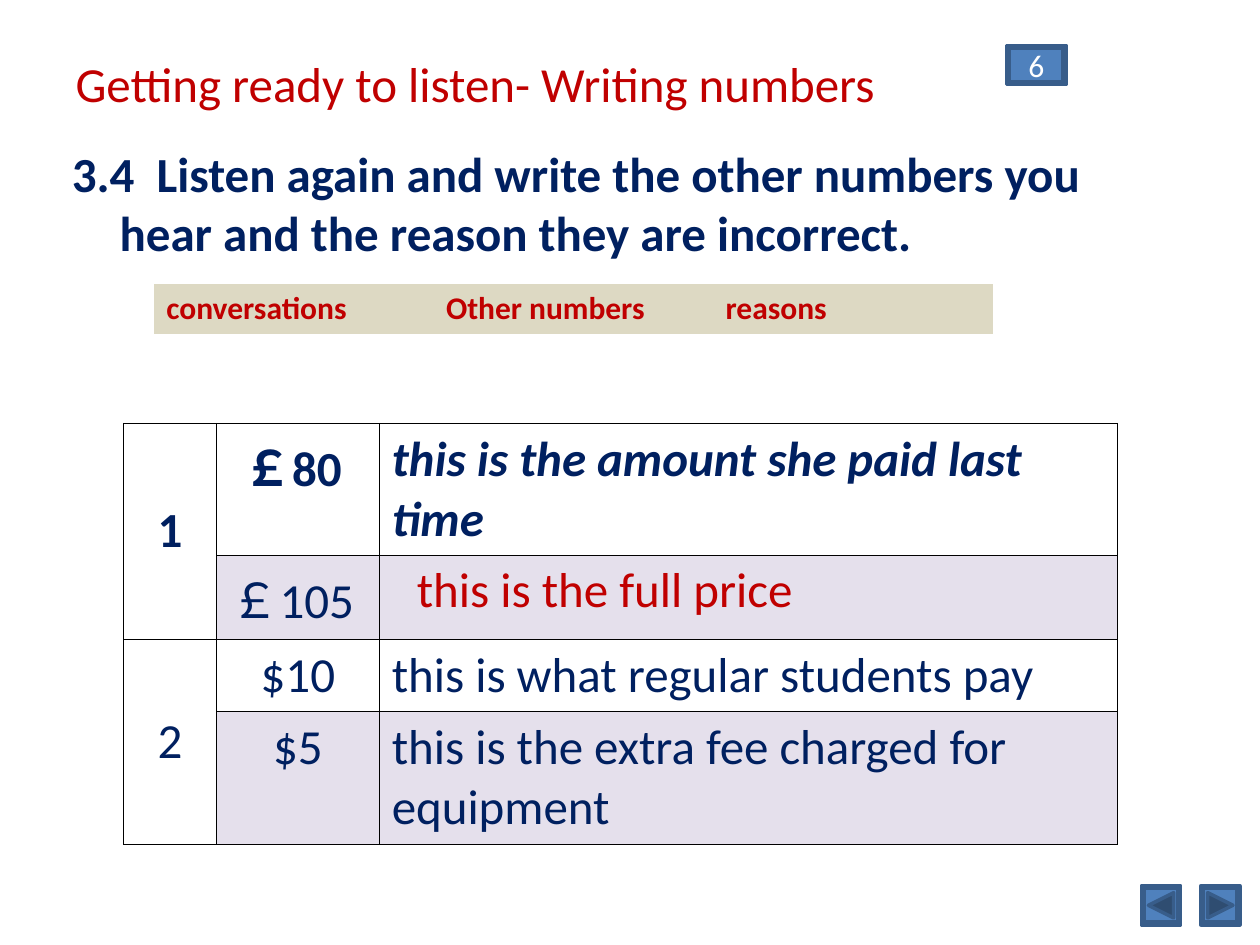
from pptx import Presentation
from pptx.dml.color import RGBColor
from pptx.enum.shapes import MSO_SHAPE as SHAPE
from pptx.enum.text import MSO_ANCHOR as ANCHOR, MSO_AUTO_SIZE as AUTO, PP_ALIGN as ALIGN
from pptx.oxml.ns import qn
from pptx.util import Inches, Pt
from lxml.etree import SubElement

COLORS = {"red": "C00000", "navy": "002060", "white": "FFFFFF", "black": "000000",
          "blue": "4F81BD", "edge": "385D8A", "arrow": "2F4D71",
          "beige": "DDD9C3", "purple": "8064A2"}

TITLE = "Getting ready to listen- Writing numbers"
TASK = "3.4  Listen again and write the other numbers you hear and the reason they are incorrect."
HEADINGS = ["conversations", "Other numbers", "reasons"]
CONVERSATIONS = [
    ("1", [("￡80 ", "this is the amount she paid last time"), ("￡105 ", "")]),
    ("2", [("$10", "this is what regular students pay"),
           ("$5", "this is the extra fee charged for equipment")]),
]
FULL_PRICE = "this is the full price"
COL_WIDTHS = [0.74, 1.29, 5.86]
ROW_HEIGHTS = [1.03, 0.57, 0.57, 1.03]
BUTTON_HEIGHT, ARROW_SIZE = 0.31, 0.2
BUTTONS = [
    (9.06, 7.03, 0.31, "", -90),
    (9.53, 7.03, 0.31, "", 90),
    (7.99, 0.36, 0.47, "6", None),
]


def rgb(name):
    return RGBColor.from_string(COLORS[name])


def write(tf, text, size=28, color="navy", bold=False, italic=False, align=ALIGN.LEFT):
    p = tf.paragraphs[0]
    p.alignment = align
    r = p.add_run()
    r.text = text
    r.font.name, r.font.size = "Calibri", Pt(size)
    r.font.bold, r.font.italic = bold, italic
    r.font.color.rgb = rgb(color)
    return p


def border(cell, sides, color, width):
    tcPr = cell._tc.get_or_add_tcPr()
    for side in "LRTB":
        ln = SubElement(tcPr, qn(f"a:ln{side}"))
        if side in sides:
            ln.set("w", str(Pt(width)))
            fill = SubElement(ln, qn("a:solidFill"))
            SubElement(fill, qn("a:srgbClr"), val=COLORS[color])
        else:
            SubElement(ln, qn("a:noFill"))


def fill_cell(cell, color, alpha=None):
    cell.fill.solid()
    cell.fill.fore_color.rgb = rgb(color)
    if alpha:
        clr = cell._tc.tcPr.find(qn("a:solidFill")).find(qn("a:srgbClr"))
        SubElement(clr, qn("a:alpha"), val=str(alpha * 1000))


def add_grid(s, left, top, widths, heights):
    table = s.shapes.add_table(len(heights), len(widths), Inches(left), Inches(top),
                               Inches(sum(widths)), Inches(sum(heights))).table
    table.first_row = table.horz_banding = False
    for col, width in zip(table.columns, widths):
        col.width = Inches(width)
    for row, height in zip(table.rows, heights):
        row.height = Inches(height)
    return table


def place(sp, left, top, width, height):
    sp.left, sp.top = Inches(left), Inches(top)
    sp.width, sp.height = Inches(width), Inches(height)
    sp.text_frame.auto_size = AUTO.NONE
    return sp.text_frame


def add_answers(s):
    table = add_grid(s, 0.98, 3.36, COL_WIDTHS, ROW_HEIGHTS)
    for i, row in enumerate(table.rows):
        for j, cell in enumerate(row.cells):
            border(cell, "LRTB", "black", 0.45)
            if j and i % 2:
                fill_cell(cell, "purple", 20)
            else:
                cell.fill.background()
    top = 0
    for number, answers in CONVERSATIONS:
        cell = table.cell(top, 0)
        cell.merge(table.cell(top + len(answers) - 1, 0))
        cell.vertical_anchor = ANCHOR.MIDDLE
        write(cell.text_frame, number, bold=top == 0, align=ALIGN.CENTER)
        for i, (amount, reason) in enumerate(answers, top):
            example = i == 0
            cell = table.cell(i, 1)
            cell.margin_left = cell.margin_right = Inches(0.03)
            write(cell.text_frame, amount, bold=example, align=ALIGN.CENTER)
            if reason:
                write(table.cell(i, 2).text_frame, reason, bold=example, italic=example)
        top += len(answers)


def add_solid(s, kind, left, top, width, height, color):
    sp = s.shapes.add_shape(kind, Inches(left), Inches(top), Inches(width), Inches(height))
    sp.shadow.inherit = False
    sp.fill.solid()
    sp.fill.fore_color.rgb = rgb(color)
    sp.line.color.rgb = rgb("edge")
    sp.line.width = Pt(2)
    return sp


def add_button(s, left, top, width, label, rotation):
    sp = add_solid(s, SHAPE.BEVEL, left, top, width, BUTTON_HEIGHT, "blue")
    sp.adjustments[0] = 0.07
    if label:
        sp.text_frame.vertical_anchor = ANCHOR.MIDDLE
        write(sp.text_frame, label, size=18, color="white", align=ALIGN.CENTER)
    if rotation:
        arrow = add_solid(s, SHAPE.ISOSCELES_TRIANGLE, left + (width - ARROW_SIZE) / 2,
                          top + (BUTTON_HEIGHT - ARROW_SIZE) / 2,
                          ARROW_SIZE, ARROW_SIZE, "arrow")
        arrow.rotation = rotation


def main():
    prs = Presentation()
    prs.slide_width, prs.slide_height = Inches(10), Inches(7.5)
    s = prs.slides.add_slide(prs.slide_layouts[1])

    tf = place(s.shapes.title, 0.5, 0.3, 9, 0.72)
    tf.vertical_anchor = ANCHOR.MIDDLE
    write(tf, TITLE, color="red")

    tf = place(s.placeholders[1], 0.47, 1.09, 9, 6.17)
    p = write(tf, TASK, bold=True)
    p.space_before = Pt(0)
    pPr = p._p.get_or_add_pPr()
    pPr.set("marL", str(Inches(0.38)))
    pPr.set("indent", str(Inches(-0.38)))
    SubElement(pPr, qn("a:buNone"))

    add_answers(s)
    sp = s.shapes.add_textbox(0, 0, 0, 0)
    tf = place(sp, 3.21, 4.38, 3.18, 0.57)
    tf.word_wrap = False
    write(tf, FULL_PRICE, color="red")

    header = add_grid(s, 1.22, 2.25, [2.22] * len(HEADINGS), [0.41])
    for cell, heading in zip(header.rows[0].cells, HEADINGS):
        border(cell, "B", "white", 0.96)
        fill_cell(cell, "beige")
        write(cell.text_frame, heading, size=18, color="red", bold=True)

    for button in BUTTONS:
        add_button(s, *button)

    prs.save("out.pptx")


if __name__ == "__main__":
    main()
